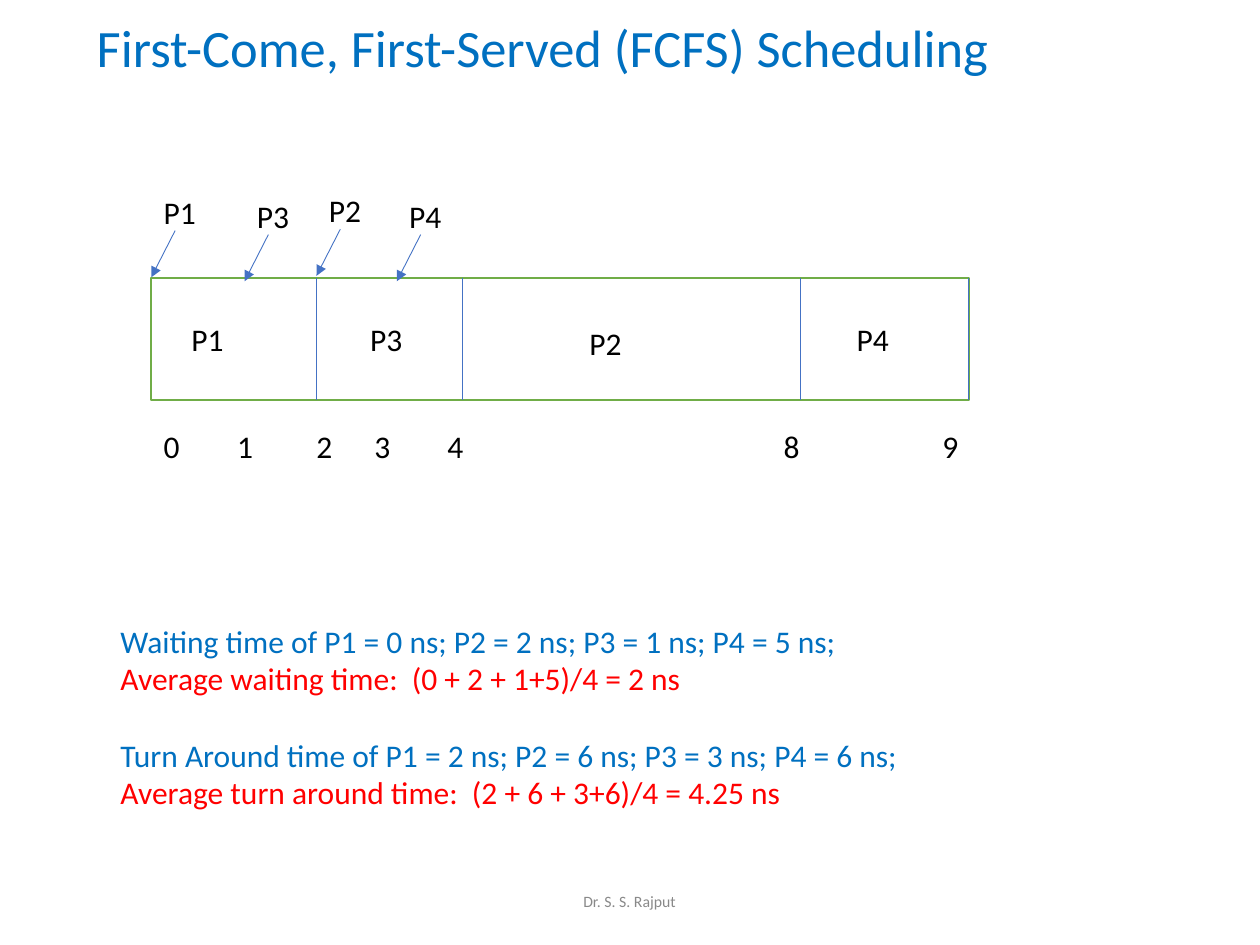
import pptx
import pptx.dml.color
import pptx.enum.shapes
import pptx.enum.text
import pptx.oxml
import pptx.oxml.ns
import pptx.util

Cm = pptx.util.Cm
Pt = pptx.util.Pt
ALIGN = pptx.enum.text.PP_ALIGN
ANCHOR = pptx.enum.text.MSO_ANCHOR

BLUE, RED, BLACK, GREY = "0070C0", "FF0000", "000000", "898989"
LINE_BLUE, BAR_GREEN, WHITE = "4472C4", "70AD47", "FFFFFF"
BAR_LEFT, BAR_TOP, BAR_WIDTH, BAR_HEIGHT = 3.05, 5.61, 16.48, 2.46
DIVIDERS = [6.38, 9.32, 16.13, 19.53]
ARRIVALS = [("P1", 3.05, 3.76), ("P3", 4.93, 3.84), ("P2", 6.38, 3.73), ("P4", 8.0, 3.84)]
BURSTS = [("P3", 7.21, 6.32), ("P2", 11.63, 6.4), ("P4", 17.02, 6.32)]
TIMES = ["0", "1", "2", "3", "4", "8", "9"]
TIME_STOPS = [1.48, 3.08, 4.25, 5.72, 12.5, 15.7]
RESULTS = [
    ("Waiting time of P1 = 0 ns; P2 = 2 ns; P3 = 1 ns; P4 = 5 ns;", BLUE, 0),
    ("Average waiting time:  (0 + 2 + 1+5)/4 = 2 ns", RED, 0),
    ("Turn Around time of P1 = 2 ns; P2 = 6 ns; P3 = 3 ns; P4 = 6 ns;", BLUE, 22),
    ("Average turn around time:  (2 + 6 + 3+6)/4 = 4.25 ns", RED, 0),
]


def color(value):
    """Return the color for a hex string."""
    return pptx.dml.color.RGBColor.from_string(value)


def set_attributes(target, values):
    """Set each named attribute of the target."""
    for name, value in values.items():
        setattr(target, name, value)


def write(paragraph, text, hex_color=BLACK, size=18, **formats):
    """Fill a paragraph with one formatted run."""
    set_attributes(paragraph, {"alignment": ALIGN.LEFT, **formats})
    run = paragraph.add_run()
    run.text = text
    set_attributes(run.font, {"name": "Calibri", "size": Pt(size)})
    run.font.color.rgb = color(hex_color)


def format_frame(frame, anchor=ANCHOR.TOP, left=0.25):
    """Set wrapping, anchor and margins of a text frame."""
    set_attributes(frame, {
        "word_wrap": True, "auto_size": pptx.enum.text.MSO_AUTO_SIZE.NONE,
        "vertical_anchor": anchor, "margin_left": Cm(left), "margin_right": Cm(0.25),
        "margin_top": Cm(0.13), "margin_bottom": Cm(0.13)})


def add_text(slide, left, top, width, height, anchor=ANCHOR.TOP):
    """Add an empty text box and return its text frame."""
    shape = slide.shapes.add_textbox(Cm(left), Cm(top), Cm(width), Cm(height))
    format_frame(shape.text_frame, anchor)
    return shape.text_frame


def add_line(slide, start, end, arrow=False):
    """Add a thin straight line, with an arrowhead on request."""
    connector = slide.shapes.add_connector(
        pptx.enum.shapes.MSO_CONNECTOR.STRAIGHT, *map(Cm, start + end))
    connector.line.color.rgb = color(LINE_BLUE)
    connector.line.width = Pt(0.5)
    if arrow:
        line = connector.line._get_or_add_ln()
        pptx.oxml.ns.qn("a:tailEnd")
        line.append(pptx.oxml.parse_xml(
            '<a:tailEnd xmlns:a="http://schemas.openxmlformats.org/drawingml/2006/main" type="triangle"/>'))
    connector._element.spPr.append(pptx.oxml.parse_xml(
        '<a:effectLst xmlns:a="http://schemas.openxmlformats.org/drawingml/2006/main"/>'))


def add_title(slide, text):
    """Place and fill the title placeholder."""
    title = slide.shapes.title
    set_attributes(title, {"left": Cm(1.7), "top": Cm(0.38), "width": Cm(22.02), "height": Cm(1.27)})
    format_frame(title.text_frame, ANCHOR.MIDDLE)
    write(title.text_frame.paragraphs[0], text, BLUE, 30, line_spacing=0.9)


def add_bar(slide):
    """Add the schedule bar with its dividers and process labels."""
    bar = slide.shapes.add_shape(
        pptx.enum.shapes.MSO_SHAPE.RECTANGLE,
        Cm(BAR_LEFT), Cm(BAR_TOP), Cm(BAR_WIDTH), Cm(BAR_HEIGHT))
    bar.shadow.inherit = False
    bar.fill.solid()
    bar.fill.fore_color.rgb = color(WHITE)
    bar.line.color.rgb = color(BAR_GREEN)
    bar.line.width = Pt(1)
    format_frame(bar.text_frame, ANCHOR.MIDDLE, left=0.81)
    write(bar.text_frame.paragraphs[0], "P1")
    for x in DIVIDERS:
        add_line(slide, (x, BAR_TOP), (x, BAR_TOP + BAR_HEIGHT))
    for name, left, top in BURSTS:
        write(add_text(slide, left, top, 3.38, 1.02).paragraphs[0], name)


def add_arrival(slide, name, left, top):
    """Add a process label with an arrow to its arrival time."""
    write(add_text(slide, left, top, 2.54, 1.02).paragraphs[0], name)
    add_line(slide, (left + 0.48, top + 0.89), (left, top + 1.83), arrow=True)


def add_time_scale(slide):
    """Add the time values on tab stops below the bar."""
    paragraph = add_text(slide, BAR_LEFT, 8.48, 16.81, 1.02).paragraphs[0]
    write(paragraph, "\t".join(TIMES))
    stops = "".join(f'<a:tab pos="{int(Cm(stop))}" algn="l"/>' for stop in TIME_STOPS)
    paragraph._p.get_or_add_pPr().append(pptx.oxml.parse_xml(
        '<a:tabLst xmlns:a="http://schemas.openxmlformats.org/drawingml/2006/main">'
        f'{stops}</a:tabLst>'))


def add_results(slide):
    """Add the waiting and turn around times."""
    frame = add_text(slide, 2.18, 12.4, 21.54, 4.83)
    for index, (text, hex_color, gap) in enumerate(RESULTS):
        paragraph = frame.add_paragraph() if index else frame.paragraphs[0]
        write(paragraph, text, hex_color, space_before=Pt(gap))


def main():
    """Build and save the slide."""
    presentation = pptx.Presentation()
    set_attributes(presentation, {"slide_width": Cm(25.4), "slide_height": Cm(19.05)})
    slide = presentation.slides.add_slide(presentation.slide_layouts[5])
    add_title(slide, "First-Come, First-Served (FCFS) Scheduling")
    add_bar(slide)
    for arrival in ARRIVALS:
        add_arrival(slide, *arrival)
    add_time_scale(slide)
    add_results(slide)
    footer = add_text(slide, 8.41, 17.65, 8.56, 1.02, ANCHOR.MIDDLE)
    write(footer.paragraphs[0], "Dr. S. S. Rajput", GREY, 9, alignment=ALIGN.CENTER)
    presentation.save("out.pptx")


main()
